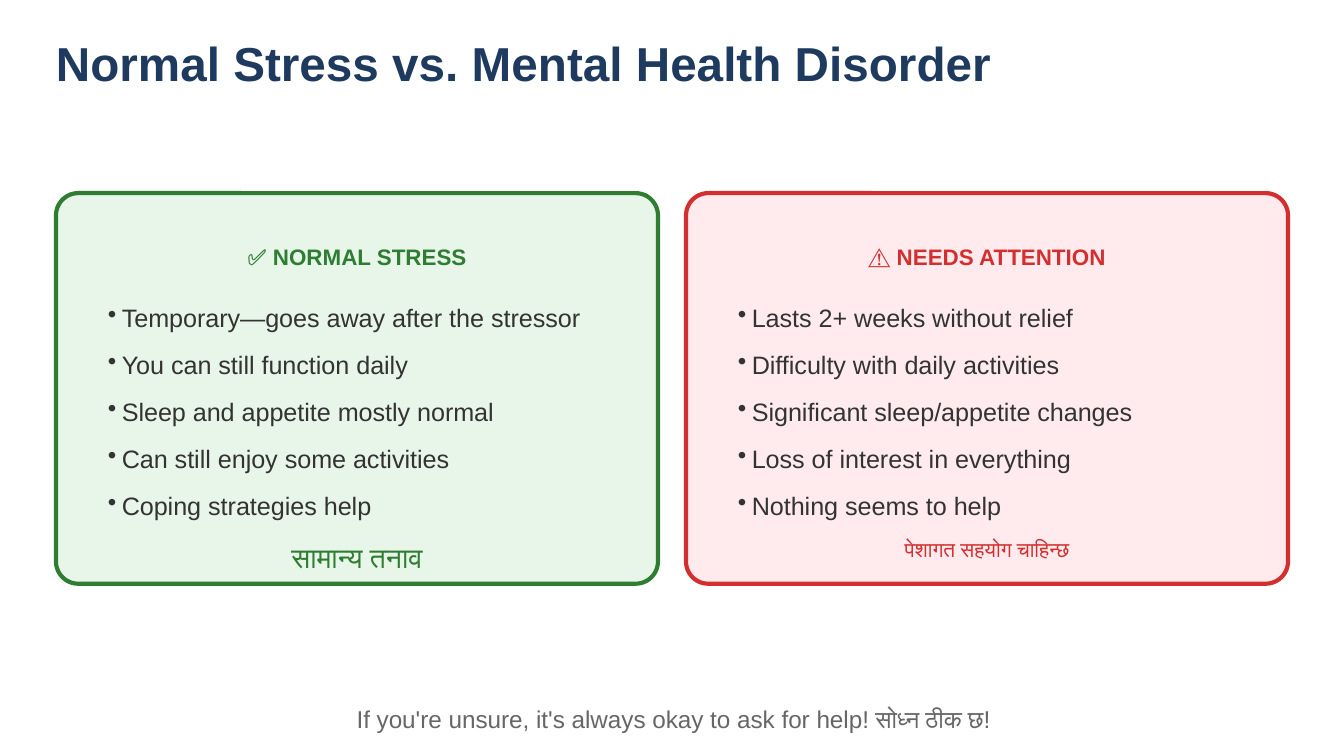
from dataclasses import dataclass

from lxml.etree import SubElement
from pptx import Presentation
from pptx.dml.color import RGBColor
from pptx.enum.shapes import MSO_SHAPE
from pptx.enum.text import PP_ALIGN
from pptx.oxml.ns import qn
from pptx.util import Pt

# Content
TITLE = "Normal Stress vs. Mental Health Disorder"
CARDS = [
    {
        "heading": "✅ NORMAL STRESS",
        "signs": [
            "Temporary—goes away after the stressor",
            "You can still function daily",
            "Sleep and appetite mostly normal",
            "Can still enjoy some activities",
            "Coping strategies help",
        ],
        "nepali": "सामान्य तनाव",
        "nepali_size": 15.2,
        "accent": "2E7D32",
        "fill": "E8F5E9",
    },
    {
        "heading": "⚠️ NEEDS ATTENTION",
        "signs": [
            "Lasts 2+ weeks without relief",
            "Difficulty with daily activities",
            "Significant sleep/appetite changes",
            "Loss of interest in everything",
            "Nothing seems to help",
        ],
        "nepali": "पेशागत सहयोग चाहिन्छ",
        "nepali_size": 11.2,
        "accent": "D32F2F",
        "fill": "FFEBEE",
    },
]
REASSURANCE = "If you're unsure, it's always okay to ask for help! सोध्न ठीक छ!"


@dataclass(frozen=True)
class Theme:
    font: str = "Arial"
    navy: str = "1E3A5F"
    ink: str = "333333"
    grey: str = "666666"
    title_size: float = 25.5
    heading_size: float = 12
    sign_size: float = 13.5
    footer_size: float = 13
    border: float = 2.25
    leading: float = 1.4
    list_leading: float = 1.56


THEME = Theme()

# Layout in px, 96 to the inch
PX = 9525
SLIDE_W, SLIDE_H = 960, 540
MARGIN, CARD_TOP, CARD_W, CARD_H, CARD_GAP = 40, 138, 430, 279, 20
CORNER = 0.057
INDENT = 10


def emu(*lengths):
    return [length * PX for length in lengths]


def add_text(slide, box, lines, size, color, bold=False, align=None,
             leading=None, bulleted=False):
    frame = slide.shapes.add_textbox(*emu(*box)).text_frame
    frame.word_wrap = True
    frame.margin_left = INDENT * PX if bulleted else 0
    frame.margin_top = frame.margin_right = frame.margin_bottom = 0
    for index, line in enumerate(lines):
        paragraph = frame.add_paragraph() if index else frame.paragraphs[0]
        if bulleted:
            add_bullet(paragraph, color)
        if align is not None:
            paragraph.alignment = align
        if leading:
            paragraph.line_spacing = leading
        run = paragraph.add_run()
        run.text = line
        run.font.name = THEME.font
        run.font.size = Pt(size)
        run.font.bold = bold
        run.font.color.rgb = RGBColor.from_string(color)


def add_bullet(paragraph, color):
    properties = paragraph._p.get_or_add_pPr()
    properties.set("marL", str(INDENT * PX))
    properties.set("indent", str(-INDENT * PX))
    bullet_color = SubElement(properties, qn("a:buClr"))
    SubElement(bullet_color, qn("a:srgbClr")).set("val", color)
    SubElement(properties, qn("a:buChar")).set("char", "•")


def add_card(slide, left, card):
    panel = slide.shapes.add_shape(
        MSO_SHAPE.ROUNDED_RECTANGLE, *emu(left, CARD_TOP, CARD_W, CARD_H))
    panel.adjustments[0] = CORNER
    panel.shadow.inherit = False
    panel.fill.solid()
    panel.fill.fore_color.rgb = RGBColor.from_string(card["fill"])
    panel.line.color.rgb = RGBColor.from_string(card["accent"])
    panel.line.width = Pt(THEME.border)

    centred = {"align": PP_ALIGN.CENTER, "leading": THEME.leading}
    add_text(slide, (left + 23, CARD_TOP + 28, 384, 22), [card["heading"]],
             THEME.heading_size, card["accent"], bold=True, **centred)
    add_text(slide, (left + 27, CARD_TOP + 66, 376, 156), card["signs"],
             THEME.sign_size, THEME.ink, leading=THEME.list_leading,
             bulleted=True)
    add_text(slide, (left + 23, CARD_TOP + 238, 384, 15), [card["nepali"]],
             card["nepali_size"], card["accent"], **centred)


def main():
    deck = Presentation()
    deck.slide_width, deck.slide_height = emu(SLIDE_W, SLIDE_H)
    slide = deck.slides.add_slide(deck.slide_layouts[6])

    # Title
    add_text(slide, (MARGIN, 24, 681, 34), [TITLE],
             THEME.title_size, THEME.navy, bold=True)

    # Comparison cards
    for column, card in enumerate(CARDS):
        add_card(slide, MARGIN + column * (CARD_W + CARD_GAP), card)

    # Footer
    add_text(slide, (32, 495, 898, 16), [REASSURANCE], THEME.footer_size,
             THEME.grey, align=PP_ALIGN.CENTER, leading=THEME.leading)

    deck.save("out.pptx")


if __name__ == "__main__":
    main()
